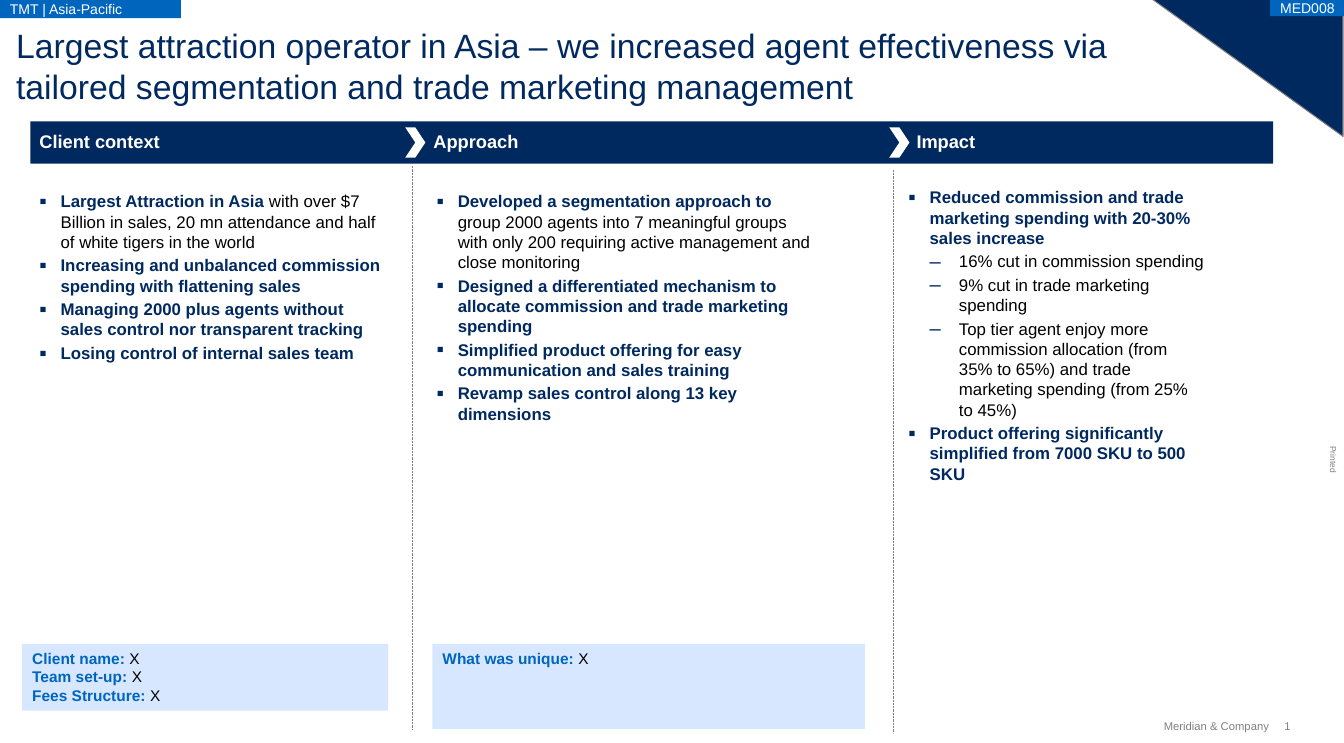
import pptx
import pptx.util
import pptx.dml.color
import pptx.enum.dml
import pptx.enum.shapes
import pptx.enum.text
import pptx.oxml
import pptx.oxml.ns
from lxml import etree

Pt = pptx.util.Pt
SHAPE = pptx.enum.shapes.MSO_SHAPE
ANCHOR = pptx.enum.text.MSO_ANCHOR
ALIGN = pptx.enum.text.PP_ALIGN
NAVY, BLUE, PALE = "002960", "0065BD", "D6E7FF"
WHITE, BLACK, GRAY = "FFFFFF", "000000", "808080"
COLS, ROWS = 133, 73.5

deck = pptx.Presentation()
deck.slide_width = pptx.util.Inches(13.3)
deck.slide_height = pptx.util.Inches(7.35)


def color(code):
    return pptx.dml.color.RGBColor.from_string(code)


def across(cols):
    return round(deck.slide_width * cols / COLS)


def down(rows):
    return round(deck.slide_height * rows / ROWS)


def scale(box):
    x, y, w, h = box
    return across(x), down(y), across(w), down(h)


def style(font, size, code, bold=False):
    font.name, font.size, font.bold = "Arial", Pt(size), bold
    font.color.rgb = color(code)


def setup(frame, inset, anchor, wrap=True):
    frame.word_wrap = wrap
    frame.vertical_anchor = anchor
    left, top, right, bottom = inset
    frame.margin_left, frame.margin_right = across(left), across(right)
    frame.margin_top, frame.margin_bottom = down(top), down(bottom)


def label(slide, box, text, size, code, bold=False, anchor=ANCHOR.TOP,
          wrap=True, bottom=0):
    shape = slide.shapes.add_textbox(*scale(box))
    setup(shape.text_frame, (0, 0, 0, bottom), anchor, wrap)
    para = shape.text_frame.paragraphs[0]
    para.text = text
    style(para.font, size, code, bold)
    return shape


def block(slide, kind, box, fill):
    shape = slide.shapes.add_shape(kind, *scale(box))
    shape.shadow.inherit = False
    shape.fill.solid()
    shape.fill.fore_color.rgb = color(fill)
    shape.line.fill.background()
    return shape


def tag(slide, box, text):
    frame = block(slide, SHAPE.RECTANGLE, box, BLUE).text_frame
    setup(frame, (1, 0.5, 1, 0.5), ANCHOR.MIDDLE, False)
    para = frame.paragraphs[0]
    para.text = text
    para.alignment = ALIGN.LEFT
    style(para.font, 10, WHITE)


def bullet(para, level):
    left, hang, size, mark = (0.21, 0.21, 125, "▪") if level == 1 else (0.5, 0.29, 120, "–")
    props = para._p.get_or_add_pPr()
    props.set("marL", str(pptx.util.Inches(left)))
    props.set("indent", str(-pptx.util.Inches(hang)))
    qn = pptx.oxml.ns.qn
    tint = etree.SubElement(props, qn("a:buClr"))
    etree.SubElement(tint, qn("a:srgbClr")).set("val", NAVY)
    etree.SubElement(props, qn("a:buSzPct")).set("val", str(size * 1000))
    etree.SubElement(props, qn("a:buFont")).set("typeface", "Arial")
    etree.SubElement(props, qn("a:buChar")).set("char", mark)
    para.level = level


def spread(para, size, lead, rest, code):
    if lead and rest:
        para.font.name, para.font.size = "Arial", Pt(size)
        for text, tint, bold in ((lead, code, True), (rest, BLACK, False)):
            run = para.add_run()
            run.text = text
            run.font.bold = bold
            run.font.color.rgb = color(tint)
    else:
        para.text = lead or rest
        style(para.font, size, code if lead else BLACK, bool(lead))


def points(slide, box, items):
    frame = slide.shapes.add_textbox(*scale(box)).text_frame
    setup(frame, (0, 0, 0, 0), ANCHOR.TOP)
    for num, (lead, rest) in enumerate(items):
        para = frame.add_paragraph() if num else frame.paragraphs[0]
        bullet(para, 1 if lead else 2)
        para.space_before = Pt(2.4 if num else 0)
        spread(para, 12, lead, rest, NAVY)


def note(slide, box, names):
    frame = block(slide, SHAPE.RECTANGLE, box, PALE).text_frame
    setup(frame, (1, 0.5, 1, 0.5), ANCHOR.TOP)
    for num, name in enumerate(names):
        para = frame.add_paragraph() if num else frame.paragraphs[0]
        para.alignment = ALIGN.LEFT
        spread(para, 11, name + ": ", "X", BLUE)


def rule(slide, x, top, end):
    line = slide.shapes.add_connector(
        pptx.enum.shapes.MSO_CONNECTOR.STRAIGHT,
        across(x), down(top), across(x), down(end))
    line.line.color.rgb = color(GRAY)
    line.line.width = Pt(0.5)
    line.line.dash_style = pptx.enum.dml.MSO_LINE.ROUND_DOT
    etree.SubElement(line._element.spPr, pptx.oxml.ns.qn("a:effectLst"))


def band(slide, box, heads, marks):
    x, y, w, h = box
    block(slide, SHAPE.RECTANGLE, box, NAVY)
    for left, text in heads:
        label(slide, (x + left, y + 0.9, 32, 2.4), text, 13, WHITE, True,
              ANCHOR.BOTTOM, bottom=0.2)
    for left in marks:
        block(slide, SHAPE.CHEVRON, (x + left, y + 0.6, 2, h - 1.2), WHITE)


def corner(slide, box):
    x, y, w, h = box
    wedge = block(slide, SHAPE.RIGHT_TRIANGLE, box, NAVY)
    wedge.rotation = 180
    wedge.line.color.rgb = color(GRAY)
    wedge.line.width = Pt(0.75)
    tag(slide, (x + w - 7.2, 0, 7.3, 1.6), "MED008")


def header(slide, box):
    title = slide.shapes.title
    title.left, title.top, title.width, title.height = scale(box)
    setup(title.text_frame, (0, 0, 0, 0), ANCHOR.TOP)
    para = title.text_frame.paragraphs[0]
    para.text = ("Largest attraction operator in Asia – we increased agent effectiveness "
                 "via tailored segmentation and trade marketing management")
    para.alignment = ALIGN.LEFT
    style(para.font, 24, NAVY)


def footer(slide, box):
    x, y, w, h = box
    firm = label(slide, (x, y, 11.3, h), "Meridian & Company", 8, GRAY,
                 anchor=ANCHOR.MIDDLE, wrap=False)
    firm.text_frame.paragraphs[0].alignment = ALIGN.RIGHT
    label(slide, (x + w - 1.4, y, 1.4, h), "1", 8, GRAY,
          anchor=ANCHOR.MIDDLE, wrap=False)


CONTEXT = [
    ("Largest Attraction in Asia ",
     "with over $7 Billion in sales, 20 mn attendance and half of white tigers in the world"),
    ("Increasing and unbalanced commission spending with flattening sales", ""),
    ("Managing 2000 plus agents without sales control nor transparent tracking", ""),
    ("Losing control of internal sales team", ""),
]
METHOD = [
    ("Developed a segmentation approach to ",
     "group 2000 agents into 7 meaningful groups with only 200 requiring "
     "active management and close monitoring"),
    ("Designed a differentiated mechanism to allocate commission "
     "and trade marketing spending", ""),
    ("Simplified product offering for easy communication and sales training", ""),
    ("Revamp sales control along 13 key dimensions", ""),
]
IMPACT = [
    ("Reduced commission and trade marketing spending with 20-30% sales increase", ""),
    ("", "16% cut in commission spending"),
    ("", "9% cut in trade marketing spending"),
    ("", "Top tier agent enjoy more commission allocation (from 35% to 65%) "
         "and trade marketing spending (from 25% to 45%)"),
    ("Product offering significantly simplified from 7000 SKU to 500 SKU", ""),
]


def main():
    slide = deck.slides.add_slide(deck.slide_layouts[5])
    corner(slide, (114, -0.1, 18.9, 13.6))
    tag(slide, (0, 0, 17.9, 1.8), "TMT | Asia-Pacific")
    header(slide, (1.6, 2.5, 111.4, 6.7))
    band(slide, (3, 12, 123, 4.2),
         [(0.9, "Client context"), (39.9, "Approach"), (87.7, "Impact")], (37.1, 85))
    points(slide, (3.9, 18.9, 34.6, 17.4), CONTEXT)
    points(slide, (43.2, 18.9, 37.9, 23.4), METHOD)
    points(slide, (89.9, 18.5, 29.3, 29.9), IMPACT)
    rule(slide, 40.8, 16.4, 72.2)
    rule(slide, 88.4, 16.8, 72.5)
    note(slide, (2.2, 63.7, 36.2, 6.6), ("Client name", "Team set-up", "Fees Structure"))
    note(slide, (42.8, 63.7, 42.8, 8.4), ("What was unique",))
    footer(slide, (114.3, 71.2, 14.2, 1.3))
    label(slide, (130.6, 45, 2.7, 1), "Printed", 6, GRAY, wrap=False).rotation = 90
    deck.save("out.pptx")


if __name__ == "__main__":
    main()
